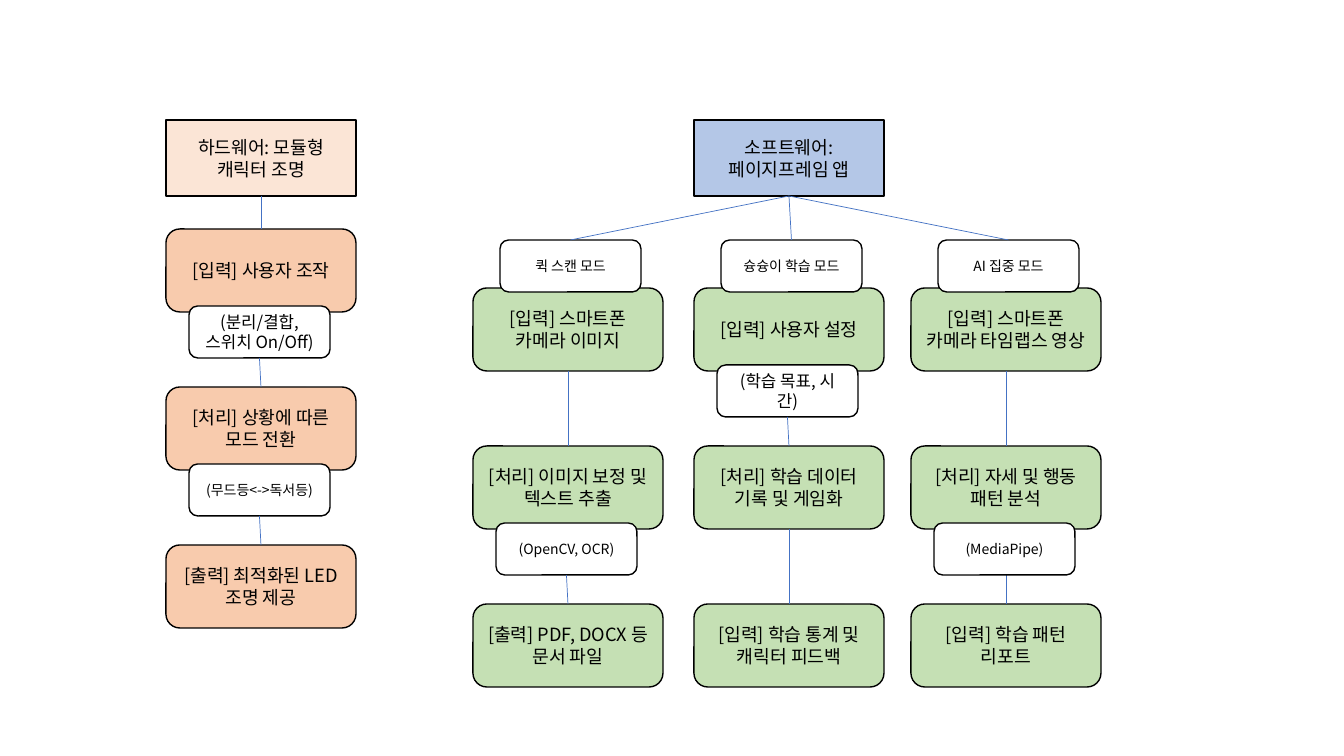
from collections import namedtuple

from lxml import etree
from pptx import Presentation
from pptx import util as u
from pptx.dml.color import RGBColor
from pptx.enum import shapes, text
from pptx.oxml import ns

PX = 914400 / 100.8
FONT = "Noto Sans CJK KR"
BLACK = RGBColor(0x00, 0x00, 0x00)
WHITE = RGBColor(0xFF, 0xFF, 0xFF)
BLUE = RGBColor(0x44, 0x72, 0xC4)
PALE_BLUE = RGBColor(0xB4, 0xC7, 0xE7)
PALE_ORANGE = RGBColor(0xFB, 0xE5, 0xD6)
ORANGE = RGBColor(0xF8, 0xCB, 0xAD)
GREEN = RGBColor(0xC5, 0xE0, 0xB4)

HEADER_TOP = 120
HEADER_HEIGHT = 76
STEP_WIDTH, STEP_HEIGHT = 190, 83
STEP_PITCH = 158
LABEL_WIDTH, LABEL_HEIGHT = 141, 52
NOTE_LEFT, NOTE_TOP = 23, 77
TAB_LEFT, TAB_RISE = 27, 48
TOP, BOTTOM = 0, 2

# A note hangs below its step; the line onward leaves the note, or passes behind it.
Note = namedtuple("Note", "text size behind", defaults=(10, False))
Step = namedtuple("Step", "text note", defaults=(None,))

HARDWARE_STEPS = [
    Step("[입력] 사용자 조작", Note("(분리/결합, 스위치 On/Off)", 12)),
    Step("[처리] 상황에 따른 모드 전환", Note("(무드등<->독서등)")),
    Step("[출력] 최적화된 LED 조명 제공"),
]
SOFTWARE_MODES = [
    (473, "퀵 스캔 모드", [
        Step("[입력] 스마트폰 카메라 이미지"),
        Step("[처리] 이미지 보정 및 텍스트 추출", Note("(OpenCV, OCR)")),
        Step("[출력] PDF, DOCX 등 문서 파일"),
    ]),
    (694, "슝슝이 학습 모드", [
        Step("[입력] 사용자 설정", Note("(학습 목표, 시간)", 12)),
        Step("[처리] 학습 데이터 기록 및 게임화"),
        Step("[입력] 학습 통계 및 캐릭터 피드백"),
    ]),
    (911, "AI 집중 모드", [
        Step("[입력] 스마트폰 카메라 타임랩스 영상"),
        Step("[처리] 자세 및 행동 패턴 분석", Note("(MediaPipe)", behind=True)),
        Step("[입력] 학습 패턴 리포트"),
    ]),
]


def px(length):
    return u.Emu(round(length * PX))


def add_box(slide, kind, box, fill, words, size=13):
    shape = slide.shapes.add_shape(kind, *map(px, box))
    shape.shadow.inherit = False
    shape.fill.solid()
    shape.fill.fore_color.rgb = fill
    shape.line.color.rgb = BLACK
    shape.line.width = u.Pt(1)
    frame = shape.text_frame
    frame.word_wrap = True
    frame.vertical_anchor = text.MSO_ANCHOR.MIDDLE
    paragraph = frame.paragraphs[0]
    paragraph.text = words
    paragraph.alignment = text.PP_ALIGN.CENTER
    font = paragraph.font
    font.size = u.Pt(size)
    font.name = FONT
    font.color.rgb = BLACK
    run_properties = paragraph.runs[0].font
    run_properties.name = FONT
    properties = paragraph.runs[0]._r.get_or_add_rPr()
    etree.SubElement(properties, ns.qn("a:ea"), typeface=FONT)
    return shape


def add_header(slide, left, fill, words):
    box = (left, HEADER_TOP, STEP_WIDTH, HEADER_HEIGHT)
    return add_box(slide, shapes.MSO_SHAPE.RECTANGLE, box, fill, words)


def add_label(slide, left, top, words, size=10):
    """Add a small white rounded box: a note or a mode tab."""
    box = (left, top, LABEL_WIDTH, LABEL_HEIGHT)
    return add_box(slide, shapes.MSO_SHAPE.ROUNDED_RECTANGLE, box, WHITE, words, size)


def join(slide, upper, lower):
    """Draw a line from the bottom of one box to the top of another."""
    line = slide.shapes.add_connector(shapes.MSO_CONNECTOR.STRAIGHT, 0, 0, 0, 0)
    line.begin_connect(upper, BOTTOM)
    line.end_connect(lower, TOP)
    line.line.color.rgb = BLUE
    line.line.width = u.Pt(0.5)
    etree.SubElement(line._element.spPr, ns.qn("a:effectLst"))


def add_flow(slide, left, top, fill, steps):
    """Stack joined steps with their notes and return the first step."""
    boxes = []
    for row in range(len(steps)):
        box = (left, top + row * STEP_PITCH, STEP_WIDTH, STEP_HEIGHT)
        boxes.append(add_box(slide, shapes.MSO_SHAPE.ROUNDED_RECTANGLE, box,
                             fill, steps[row].text))
    for row, step in enumerate(steps[:-1]):
        source, note = boxes[row], step.note
        if note is None or note.behind:
            join(slide, source, boxes[row + 1])
        if note:
            label = add_label(slide, left + NOTE_LEFT, top + row * STEP_PITCH + NOTE_TOP,
                              note.text, note.size)
            if not note.behind:
                join(slide, label, boxes[row + 1])
    return boxes[0]


def add_hardware(slide, left, top):
    header = add_header(slide, left, PALE_ORANGE, "하드웨어: 모듈형 캐릭터 조명")
    join(slide, header, add_flow(slide, left, top, ORANGE, HARDWARE_STEPS))


def add_software(slide, header_left, top):
    header = add_header(slide, header_left, PALE_BLUE, "소프트웨어: 페이지프레임 앱")
    for left, mode, steps in SOFTWARE_MODES:
        add_flow(slide, left, top, GREEN, steps)
        join(slide, header, add_label(slide, left + TAB_LEFT, top - TAB_RISE, mode))


def main():
    presentation = Presentation()
    presentation.slide_width = px(1344)
    presentation.slide_height = px(756)
    slide = presentation.slides.add_slide(presentation.slide_layouts[6])
    add_hardware(slide, 166, 229)
    add_software(slide, 694, 288)
    presentation.save("out.pptx")


if __name__ == "__main__":
    main()
